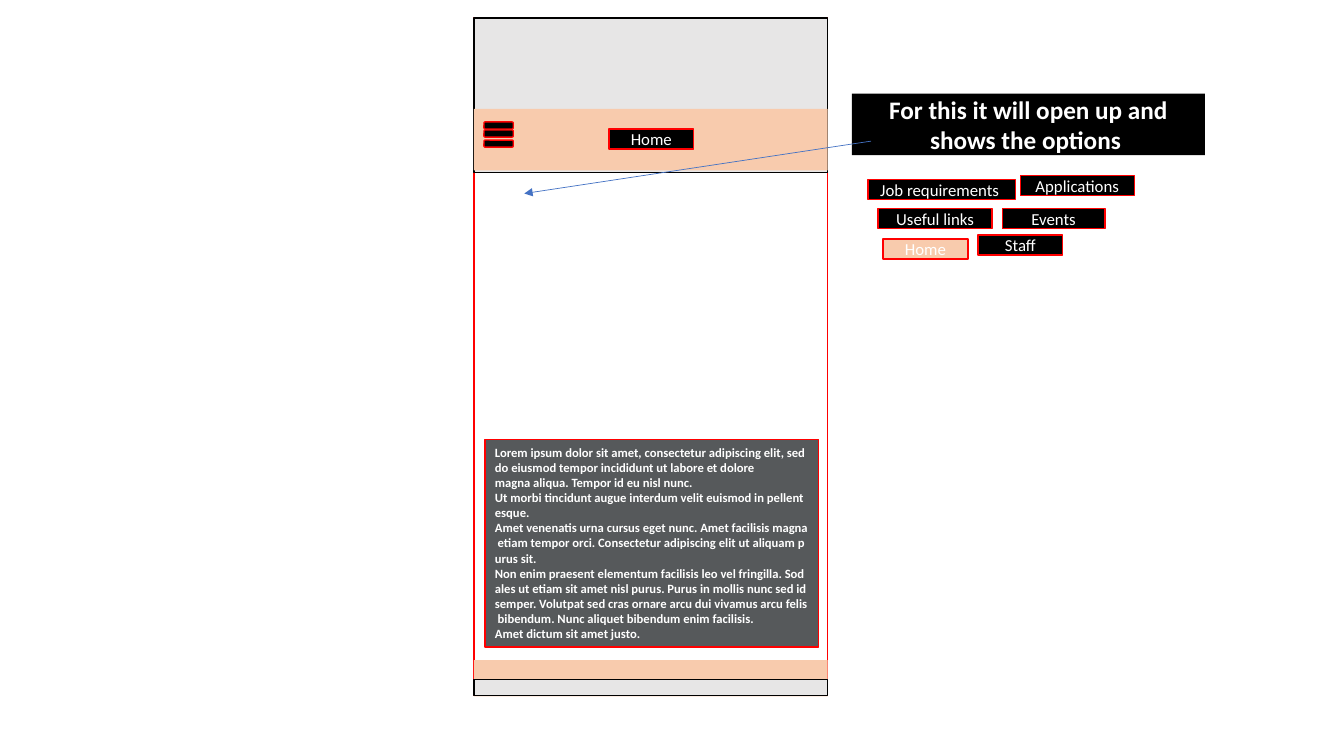
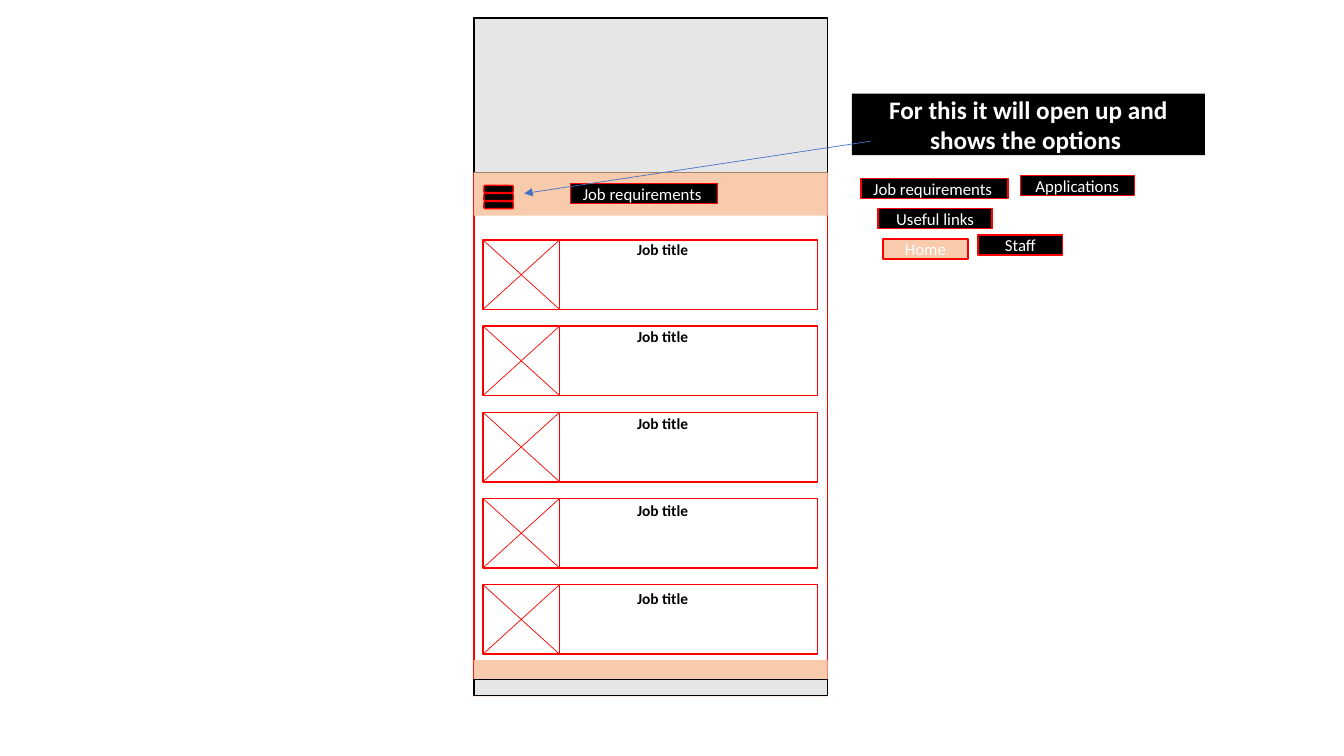
from lxml import etree
from pptx import Presentation
from pptx.dml.color import RGBColor
from pptx.enum.shapes import MSO_CONNECTOR, MSO_SHAPE
from pptx.enum.text import MSO_ANCHOR, PP_ALIGN
from pptx.oxml.ns import qn
from pptx.util import Inches, Pt

RECT, ROUND = MSO_SHAPE.RECTANGLE, MSO_SHAPE.ROUNDED_RECTANGLE
STRAIGHT = MSO_CONNECTOR.STRAIGHT
TOP, MIDDLE = MSO_ANCHOR.TOP, MSO_ANCHOR.MIDDLE
LEFT, CENTER = PP_ALIGN.LEFT, PP_ALIGN.CENTER

BLACK, WHITE = RGBColor(0, 0, 0), RGBColor(255, 255, 255)
RED, BLUE = RGBColor(255, 0, 0), RGBColor(0x44, 0x72, 0xC4)
PEACH, GREY = RGBColor(0xF8, 0xCB, 0xAD), RGBColor(0xE7, 0xE6, 0xE6)
INK = RGBColor(0x16, 0x1A, 0x1C)

# Content: "~" stands for a non-breaking space
CALL = "For this it will open up and shows the options~"
JOBS = "Job requirements~"
TITLES = ["Job title~"] + ["Job title"] * 4
LOREM = (
    "Lorem ipsum dolor sit~amet,~consectetur~adipiscing~elit, sed do~eiusmod"
    "~tempor~incididunt~ut~labore et dolore magna~aliqua.~Tempor~id~eu~nisl"
    "~nunc. Ut~morbi~tincidunt~augue~interdum~velit~euismod~in~pellentesque. "
    "Amet~venenatis~urna~cursus~eget~nunc.~Amet~facilisis~magna~etiam~tempor"
    "~orci.~Consectetur~adipiscing~elit~ut~aliquam~purus~sit. "
    "Non~enim~praesent~elementum~facilisis~leo~vel~fringilla.~Sodales~ut~etiam"
    "~sit~amet~nisl~purus. Purus in~mollis~nunc~sed id semper.~Volutpat~sed"
    "~cras~ornare~arcu~dui~vivamus~arcu~felis~bibendum. "
    "Nunc~aliquet~bibendum~enim~facilisis. Amet~dictum sit~amet~justo."
)
# Menu chips: text, left, top, width, fill
SHARED = [
    ("Home", 8.76, 2.37, 0.84, PEACH),
    ("Staff", 9.7, 2.33, 0.84, BLACK),
    ("Useful links", 8.71, 2.07, 1.13, BLACK),
    ("Applications", 10.12, 1.74, 1.13, BLACK),
]
PAGES = [
    dict(band=(1.08, 0.61), bars=(1.21, 1.29, 1.39),
         chips=[("Home", 6.04, 1.28, 0.84, BLACK),
                ("Events", 9.94, 2.07, 1.02, BLACK),
                (JOBS, 8.61, 1.78, 1.46, BLACK)]),
    dict(band=(1.71, 0.43), bars=(1.84, 1.92, 2.0),
         chips=[(JOBS, 5.66, 1.82, 1.46, BLACK),
                (JOBS, 8.54, 1.77, 1.46, BLACK)]),
]

# Grid of the phone and of the job cards
EDGE, WIDE, HEAD = 4.7, 3.51, 0.18
CARD, FIRST, STEP = (4.79, 3.32, 0.69), 2.38, 0.855
SPLIT, LABEL, PITCH = 5.55, 2.33, 0.865
CHIP = dict(size=Pt(12))
BOLD = dict(size=Pt(18), bold=True)
BODY = dict(size=Pt(9), bold=True)
JOB = dict(size=Pt(11), bold=True)


def write(shape, text, look, color=WHITE, align=CENTER, anchor=MIDDLE):
    """Put one formatted paragraph into a shape."""
    frame = shape.text_frame
    frame.word_wrap, frame.vertical_anchor = True, anchor
    para = frame.paragraphs[0]
    para.alignment = align
    run = para.add_run()
    run.text = text.replace("~", "\u00a0")
    for key, value in {"name": "Calibri", **look}.items():
        setattr(run.font, key, value)
    run.font.color.rgb = color


def box(slide, at, fill=None, line=None, kind=RECT):
    """Draw a preset shape with an optional fill and outline."""
    shape = slide.shapes.add_shape(kind, *map(Inches, at))
    shape.shadow.inherit = False
    for part, color in ((shape.fill, fill), (shape.line.fill, line)):
        if color is None:
            part.background()
        else:
            part.solid()
            part.fore_color.rgb = color
    if line is not None:
        shape.line.width = Pt(1)
    return shape


def rule(slide, start, end, color=RED, arrow=False):
    """Draw a thin straight line, with an arrowhead at its end if asked."""
    line = slide.shapes.add_connector(STRAIGHT, *map(Inches, start + end))
    line.line.color.rgb, line.line.width = color, Pt(0.5)
    if arrow:
        tail = etree.SubElement(line.line._get_or_add_ln(), qn("a:tailEnd"))
        tail.set("type", "triangle")
    etree.SubElement(line._element.spPr, qn("a:effectLst"))


def phone(slide, band, bars, chips):
    """Draw the phone, its menu and the callout."""
    box(slide, (EDGE, HEAD, WIDE, 6.72), line=RED)
    box(slide, (EDGE, HEAD, WIDE, 1.53), GREY, BLACK)
    box(slide, (EDGE, band[0], WIDE, band[1]), PEACH)
    for top in bars:
        box(slide, (4.8, top, 0.29, 0.07), BLACK, RED, ROUND)
    box(slide, (EDGE, 6.55, WIDE, 0.36), PEACH)
    box(slide, (EDGE, 6.74, WIDE, 0.16), GREY, BLACK)
    for text, left, top, width, fill in SHARED + chips:
        write(box(slide, (left, top, width, 0.2), fill, RED), text, CHIP)
    write(box(slide, (8.45, 0.93, 3.5, 0.61), BLACK), CALL, BOLD)
    rule(slide, (8.64, 1.4), (5.2, 1.92), BLUE, arrow=True)


def panel(slide):
    """Add the see-through panel of body text."""
    shape = box(slide, (4.81, 4.36, 3.31, 2.06), INK, RED)
    tint = shape._element.spPr.find(qn("a:solidFill"))[0]
    etree.SubElement(tint, qn("a:alpha")).set("val", "72000")
    write(shape, LOREM, BODY, align=LEFT, anchor=TOP)


def cards(slide):
    """Stack the job cards, each with a crossed thumbnail and a title."""
    left, width, height = CARD
    for row, title in enumerate(TITLES):
        top = FIRST + row * STEP
        low = top + height
        box(slide, (left, top, width, height), line=RED)
        rule(slide, (SPLIT, top), (SPLIT, low))
        rule(slide, (left, top), (SPLIT, low))
        rule(slide, (SPLIT, top), (left, low))
        spot = (6.22, LABEL + row * PITCH, 2.57, 0.29)
        label = slide.shapes.add_textbox(*map(Inches, spot))
        write(label, title, JOB, BLACK, LEFT, TOP)


deck = Presentation()
deck.slide_width, deck.slide_height = Inches(13.33), Inches(7.5)
blank = deck.slide_layouts[6]
for page, fill_in in zip(PAGES, (panel, cards)):
    slide = deck.slides.add_slide(blank)
    phone(slide, **page)
    fill_in(slide)
deck.save("out.pptx")
